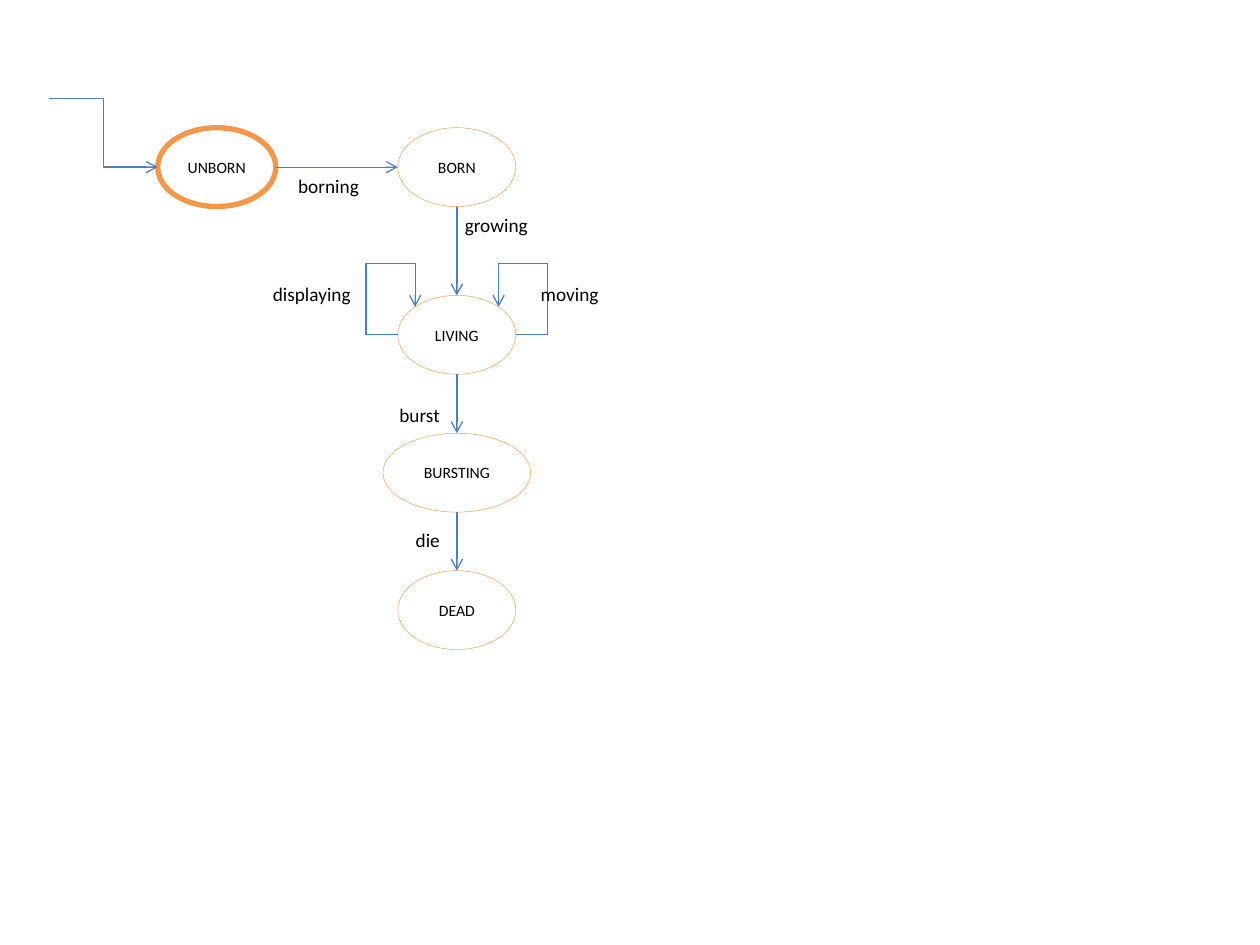
from dataclasses import dataclass
from math import sqrt

from lxml import etree
from pptx import Presentation
from pptx.dml.color import RGBColor
from pptx.enum.shapes import MSO_CONNECTOR, MSO_SHAPE
from pptx.enum.text import MSO_ANCHOR, MSO_AUTO_SIZE, PP_ALIGN
from pptx.oxml.ns import qn
from pptx.util import Cm, Pt

ORANGE = RGBColor(0xF7, 0x96, 0x46)
BLUE = RGBColor(0x4B, 0x7E, 0xBC)
WHITE = RGBColor(0xFF, 0xFF, 0xFF)
BLACK = RGBColor(0x00, 0x00, 0x00)
ELLIPSE = MSO_SHAPE.OVAL
STRAIGHT = MSO_CONNECTOR.STRAIGHT
ELBOW = MSO_CONNECTOR.ELBOW
MIDDLE = MSO_ANCHOR.MIDDLE
CENTER = PP_ALIGN.CENTER
FIT_SHAPE = MSO_AUTO_SIZE.SHAPE_TO_FIT_TEXT
FONT = "Calibri"
STATE_HEIGHT = 1.59
LABEL_HEIGHT = 0.73
COLUMN = 9.21
LOOP_REACH = 0.64
LOOP_RISE = 1.79


@dataclass(frozen=True)
class State:
    name: str
    x: float
    y: float
    width: float = 2.38
    outline: float = 0.25

    @property
    def left(self) -> float:
        return self.x - self.width / 2

    @property
    def right(self) -> float:
        return self.x + self.width / 2

    @property
    def top(self) -> float:
        return self.y - STATE_HEIGHT / 2

    @property
    def bottom(self) -> float:
        return self.y + STATE_HEIGHT / 2


@dataclass(frozen=True)
class Label:
    text: str
    left: float
    top: float
    width: float


UNBORN = State("UNBORN", 4.37, 3.37, outline=3)
BORN = State("BORN", COLUMN, 3.37)
LIVING = State("LIVING", COLUMN, 6.75)
BURSTING = State("BURSTING", COLUMN, 9.53, width=2.98)
DEAD = State("DEAD", COLUMN, 12.3)
LIFE = [BORN, LIVING, BURSTING, DEAD]

LABELS = [
    Label("borning", 5.76, 3.38, 1.75),
    Label("growing", 9.12, 4.17, 1.8),
    Label("moving", 10.65, 5.56, 1.68),
    Label("displaying", 5.25, 5.56, 2.08),
    Label("burst", 7.8, 8.01, 1.35),
    Label("die", 8.13, 10.52, 0.99),
]


def write_text(shape, text: str, size: float) -> None:
    shape.text_frame.word_wrap = False
    run = shape.text_frame.paragraphs[0].add_run()
    run.text = text
    run.font.name = FONT
    run.font.size = Pt(size)
    run.font.color.rgb = BLACK


def style_arrow(shape) -> None:
    shape.line.color.rgb = BLUE
    shape.line.width = Pt(0.75)
    line = shape.line._get_or_add_ln()
    etree.SubElement(line, qn("a:tailEnd"), type="arrow")


def draw_state(slide, state: State) -> None:
    shape = slide.shapes.add_shape(
        ELLIPSE, Cm(state.left), Cm(state.top), Cm(state.width), Cm(STATE_HEIGHT)
    )
    shape.shadow.inherit = False
    shape.fill.solid()
    shape.fill.fore_color.rgb = WHITE
    shape.line.color.rgb = ORANGE
    shape.line.width = Pt(state.outline)
    shape.text_frame.vertical_anchor = MIDDLE
    shape.text_frame.paragraphs[0].alignment = CENTER
    write_text(shape, state.name, 9)


def draw_arrow(slide, kind, x1: float, y1: float, x2: float, y2: float) -> None:
    connector = slide.shapes.add_connector(kind, Cm(x1), Cm(y1), Cm(x2), Cm(y2))
    style_arrow(connector)
    etree.SubElement(connector._element.spPr, qn("a:effectLst"))


def draw_loop(slide, state: State, side: int) -> None:
    half_width = state.width / 2
    outer = state.x + side * (half_width + LOOP_REACH)
    inner = state.x + side * half_width / sqrt(2)
    peak = state.y - LOOP_RISE * STATE_HEIGHT / 2 / sqrt(2) - 0.43
    landing = state.y - STATE_HEIGHT / 2 / sqrt(2)
    points = [(outer, state.y), (outer, peak), (inner, peak), (inner, landing)]
    builder = slide.shapes.build_freeform(Cm(state.x + side * half_width), Cm(state.y))
    builder.add_line_segments([(Cm(x), Cm(y)) for x, y in points], close=False)
    loop = builder.convert_to_shape()
    loop.shadow.inherit = False
    loop.fill.background()
    style_arrow(loop)


def draw_label(slide, label: Label) -> None:
    box = slide.shapes.add_textbox(
        Cm(label.left), Cm(label.top), Cm(label.width), Cm(LABEL_HEIGHT)
    )
    write_text(box, label.text, 11)
    box.text_frame.auto_size = FIT_SHAPE


presentation = Presentation()
presentation.slide_width = Cm(25.4)
presentation.slide_height = Cm(19.05)
slide = presentation.slides.add_slide(presentation.slide_layouts[6])

for state in [UNBORN, *LIFE]:
    draw_state(slide, state)

draw_arrow(slide, ELBOW, 0.99, 1.98, UNBORN.left, UNBORN.y)
draw_arrow(slide, STRAIGHT, UNBORN.right, UNBORN.y, BORN.left, BORN.y)
for source, target in zip(LIFE, LIFE[1:]):
    draw_arrow(slide, STRAIGHT, source.x, source.bottom, target.x, target.top)
for side in (-1, 1):
    draw_loop(slide, LIVING, side)
for label in LABELS:
    draw_label(slide, label)

presentation.save("out.pptx")
